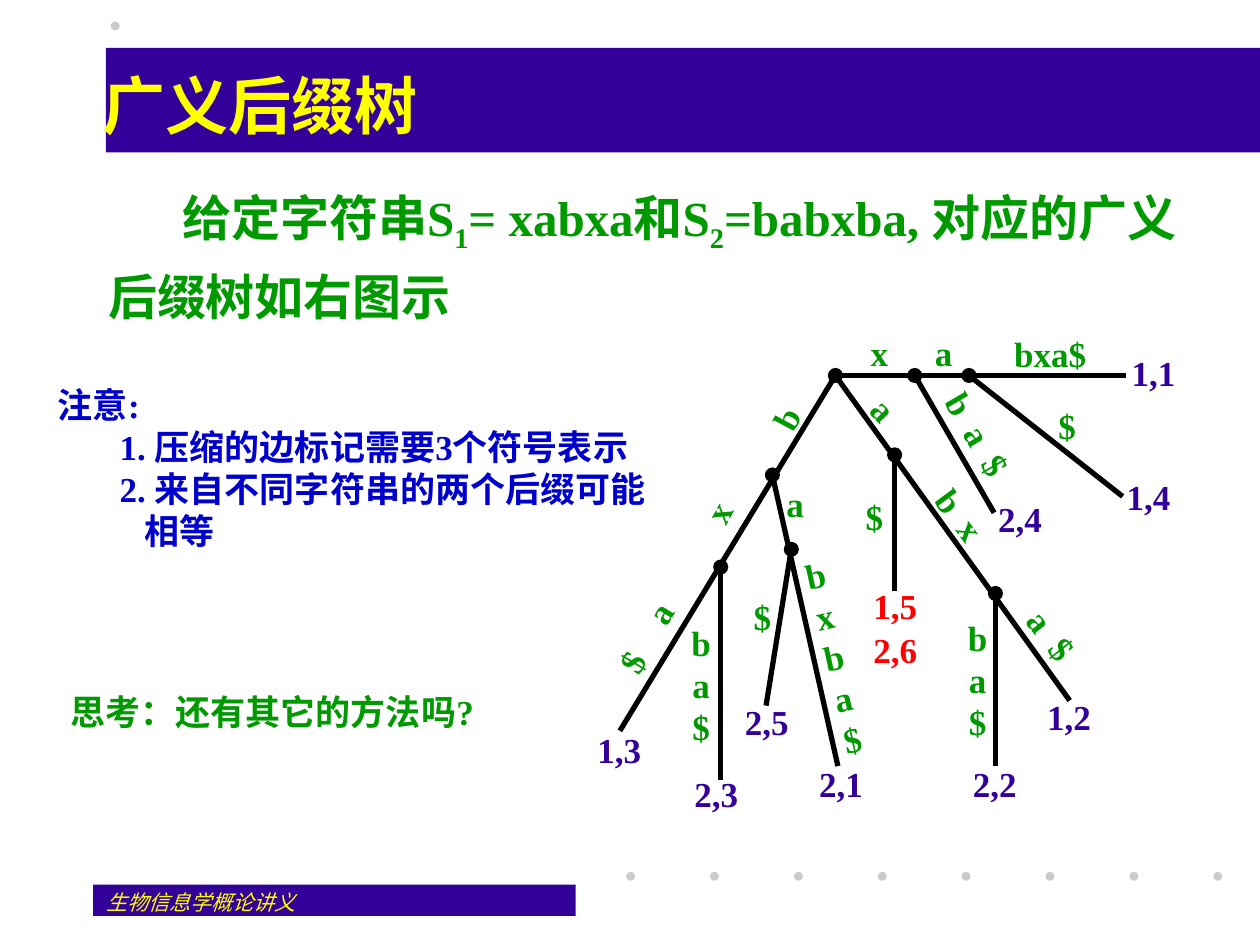
from pptx import Presentation
from pptx.dml.color import RGBColor
from pptx.enum.shapes import MSO_CONNECTOR, MSO_SHAPE
from pptx.enum.text import MSO_ANCHOR, PP_ALIGN
from pptx.oxml.ns import qn
from pptx.util import Inches, Pt
from lxml.etree import SubElement

FONT = "Times New Roman"
PURPLE, YELLOW, GREEN = "330099", "FFFF00", "009900"
BLUE, RED, GREY, BLACK = "0000CC", "FF0000", "CBCBCB", "000000"
DOT, NODE, ROW, SLACK = 0.07, 0.12, 0.33, 0.1

TITLE = "广义后缀树"
FOOTER = "生物信息学概论讲义"
INTRO = [
    (0.81, -0.22, [("给定字符串S", 0), ("1", -25), ("= xabxa和S", 0),
                   ("2", -25), ("=babxba, 对应的广义", 0)]),
    (0.38, -0.38, [("后缀树如右图示", 0)]),
]
NOTES = [
    (0, 0, [("注意:", 0)]),
    (0.49, 0, [("1. 压缩的边标记需要3个符号表示", 0)]),
    (0.49, 0, [("2. 来自不同字符串的两个后缀可能", 0)]),
    (0.69, 0, [("相等", 0)]),
]
QUESTION = [(0, 0, [("思考：还有其它的方法吗?", 0)])]

NODES = {
    "root": (6.63, 2.98), "x": (7.26, 2.98), "xa": (7.69, 2.98),
    "a": (7.1, 3.61), "abx": (7.9, 4.71), "b": (6.13, 3.77),
    "ba": (6.28, 4.36), "bx": (5.72, 4.5),
}
EDGES = [
    ("root", NODES["x"]), ("x", NODES["xa"]), ("xa", (8.94, 2.98)),
    ("xa", (8.91, 3.94)), ("x", (7.89, 4.07)), ("root", (8.49, 5.56)),
    ("a", (7.1, 4.69)), ("abx", (7.9, 6.08)), ("root", (4.92, 5.8)),
    ("b", (6.65, 6.08)), ("ba", (6.08, 5.6)), ("bx", (5.72, 6.19)),
]
EDGE_LABELS = [
    ("x", 6.91, 2.63, 0.14, 0), ("a", 7.42, 2.63, 0.14, 0),
    ("bxa$", 8.05, 2.64, 0.57, 0), ("$", 8.4, 3.21, 0.14, 0),
    ("b a $", 7.41, 3.28, 0.71, 59.7), ("a", 6.97, 3.08, 0.1, 46.3),
    ("b x", 7.41, 3.92, 0.43, 53.6), ("a $", 8.14, 4.87, 0.42, 51.4),
    ("$", 6.87, 3.93, 0.14, 0), ("b\na\n$", 7.68, 4.89, 0.16, 0),
    ("b", 6.16, 3.15, 0.15, 298.2), ("x", 5.66, 3.9, 0.07, 298.5),
    ("a", 5.17, 4.7, 0.12, 301.9), ("$", 4.9, 5.09, 0.22, 301.1),
    ("b\na\n$", 5.47, 4.93, 0.19, 0), ("a", 6.24, 3.83, 0.14, 0),
    ("b\nx\nb\na\n$", 6.53, 4.38, 0.17, 347.4), ("$", 5.98, 4.73, 0.14, 0),
]
LEAVES = [
    ("1,1", 8.98, 2.79, PURPLE), ("1,4", 8.94, 3.77, PURPLE),
    ("2,4", 7.92, 3.95, PURPLE), ("2,6", 6.93, 4.99, RED),
    ("1,5", 6.93, 4.64, RED), ("1,2", 8.31, 5.52, PURPLE),
    ("2,2", 7.72, 6.05, PURPLE), ("2,1", 6.5, 6.05, PURPLE),
    ("2,5", 5.91, 5.56, PURPLE), ("2,3", 5.51, 6.13, PURPLE),
    ("1,3", 4.74, 5.78, PURPLE),
]


def colour(value):
    """Turn a hex string into a colour."""
    return RGBColor.from_string(value)


def add_solid(shapes, preset, left, top, width, height, fill):
    """Add a filled shape without an outline."""
    shape = shapes.add_shape(preset, Inches(left), Inches(top), Inches(width), Inches(height))
    shape.shadow.inherit = False
    shape.fill.solid()
    shape.fill.fore_color.rgb = colour(fill)
    shape.line.fill.background()
    return shape


def add_span(para, text, size, fill, bold=True, italic=False):
    """Add one formatted run."""
    span = para.add_run()
    span.text = text
    font = span.font
    font.name, font.size, font.bold, font.italic = FONT, Pt(size), bold, italic
    font.color.rgb = colour(fill)
    return span


def add_box(shapes, left, top, width, height, inset=False, wrap=False):
    """Add a text box and return it."""
    box = shapes.add_textbox(Inches(left), Inches(top), Inches(width), Inches(height))
    frame = box.text_frame
    frame.word_wrap = wrap
    if not inset:
        frame.margin_left = frame.margin_right = frame.margin_top = frame.margin_bottom = 0
    return box


def next_para(frame, index):
    """Return the first paragraph, or add a further one."""
    return frame.add_paragraph() if index else frame.paragraphs[0]


def write_paras(frame, paras, size, fill, gap=0):
    """Write indented paragraphs with subscript runs."""
    for index, (margin, indent, spans) in enumerate(paras):
        para = next_para(frame, index)
        properties = para._p.get_or_add_pPr()
        properties.set("marL", str(Inches(margin)))
        properties.set("indent", str(Inches(indent)))
        para.space_before = Pt(gap if index else 0)
        for text, baseline in spans:
            span = add_span(para, text, size, fill)
            if baseline:
                span._r.get_or_add_rPr().set("baseline", str(baseline * 1000))


def add_label(shapes, text, left, top, width, fill, rotation=0):
    """Add a centred tree label with side slack, one paragraph per line."""
    lines = text.split("\n")
    box = add_box(shapes, left - SLACK, top, width + 2 * SLACK, ROW * len(lines))
    box.rotation = rotation
    for index, line in enumerate(lines):
        para = next_para(box.text_frame, index)
        para.alignment = PP_ALIGN.CENTER
        span = add_span(para, line, 20, fill)
        if " " in line:
            span._r.get_or_add_rPr().set("spc", "250")


def add_edge(shapes, start, end):
    """Add one straight tree edge."""
    edge = shapes.add_connector(MSO_CONNECTOR.STRAIGHT, *map(Inches, start + end))
    edge.line.color.rgb = colour(BLACK)
    edge.line.width = Pt(3)
    SubElement(edge._element.spPr, qn("a:effectLst"))


def add_frame(page):
    """Add the bars, dots, title and footer."""
    shapes = page.shapes
    add_solid(shapes, MSO_SHAPE.RECTANGLE, 0.74, 7.02, 3.83, 0.25, PURPLE)
    for column in range(8):
        add_solid(shapes, MSO_SHAPE.OVAL, 4.97 + column * 4.66 / 7, 6.92, DOT, DOT, GREY)
    add_solid(shapes, MSO_SHAPE.OVAL, 0.88, 0.17, DOT, DOT, GREY)
    banner = add_solid(shapes, MSO_SHAPE.RECTANGLE, 0.84, 0.38, 9.16, 0.83, PURPLE)

    title = shapes.title
    title.left, title.top, title.width, title.height = map(Inches, (0.71, 0.33, 8.9, 1))
    title.text_frame.vertical_anchor = MSO_ANCHOR.MIDDLE
    para = title.text_frame.paragraphs[0]
    para.alignment = PP_ALIGN.LEFT
    add_span(para, TITLE, 36, YELLOW)
    banner.element.addnext(title.element)

    footer = add_box(shapes, 0.75, 7.01, 2.08, 0.25, inset=True, wrap=True)
    add_span(footer.text_frame.paragraphs[0], FOOTER, 12, YELLOW, bold=False, italic=True)


def add_tree(page):
    """Add the suffix tree as one group."""
    shapes = page.shapes.add_group_shape().shapes
    for start, end in EDGES:
        add_edge(shapes, NODES[start], end)
    for x, y in NODES.values():
        add_solid(shapes, MSO_SHAPE.OVAL, x - NODE / 2, y - NODE / 2, NODE, NODE, BLACK)
    for text, left, top, width, rotation in EDGE_LABELS:
        add_label(shapes, text, left, top, width, GREEN, rotation)
    for text, left, top, fill in LEAVES:
        add_label(shapes, text, left, top, 0.35, fill)


def main():
    """Build and save the deck."""
    deck = Presentation()
    deck.slide_width, deck.slide_height = Inches(10), Inches(7.5)
    page = deck.slides.add_slide(deck.slide_layouts[5])
    add_frame(page)
    intro = add_box(page.shapes, 0.76, 1.44, 8.9, 5.38, inset=True, wrap=True)
    write_paras(intro.text_frame, INTRO, 28, GREEN, gap=7)
    add_tree(page)
    notes = add_box(page.shapes, 0.46, 3.04, 4.95, ROW * len(NOTES), wrap=True)
    write_paras(notes.text_frame, NOTES, 20, BLUE)
    question = add_box(page.shapes, 0.56, 5.48, 3.5, ROW, wrap=True)
    write_paras(question.text_frame, QUESTION, 20, GREEN)
    deck.save("out.pptx")


if __name__ == "__main__":
    main()
